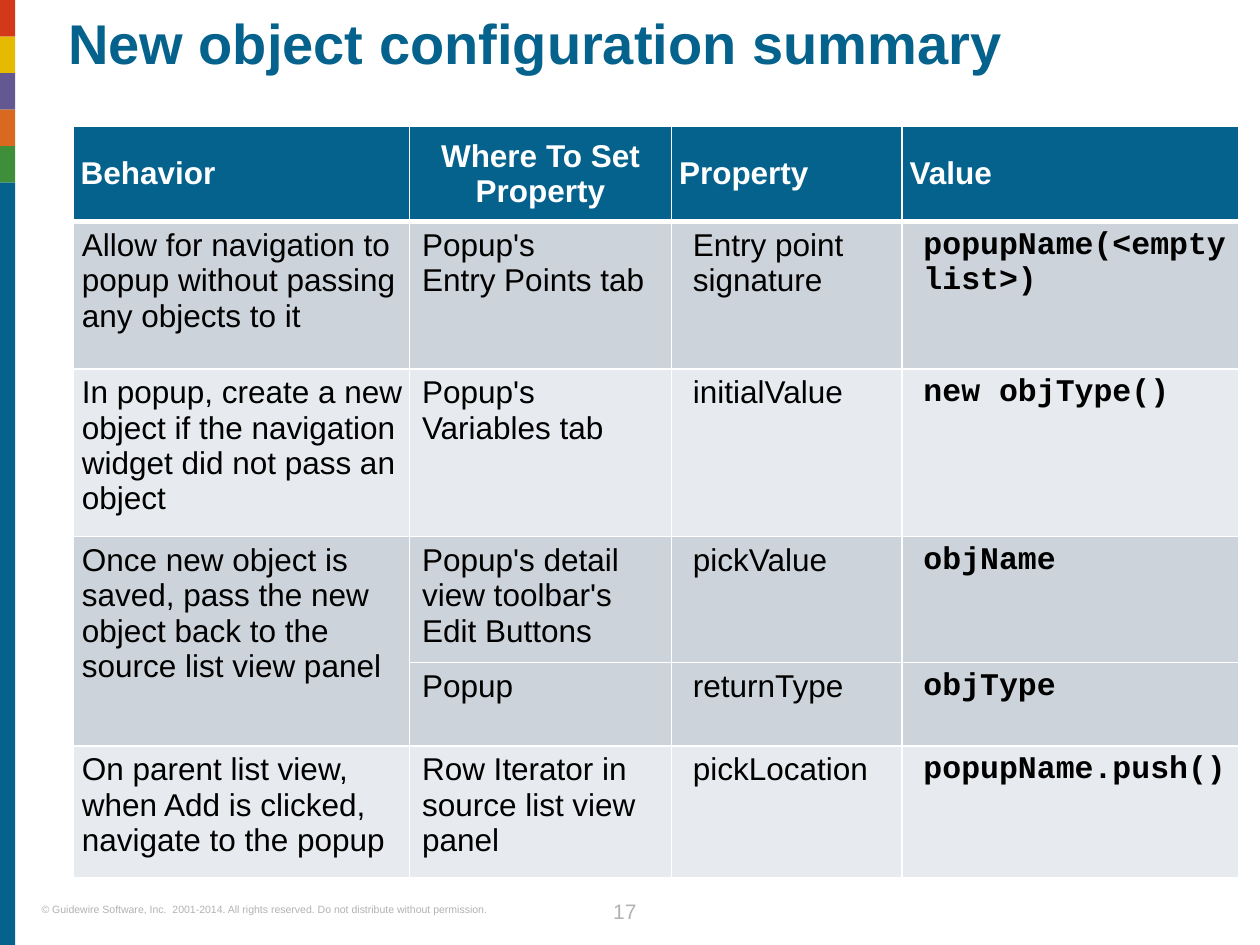
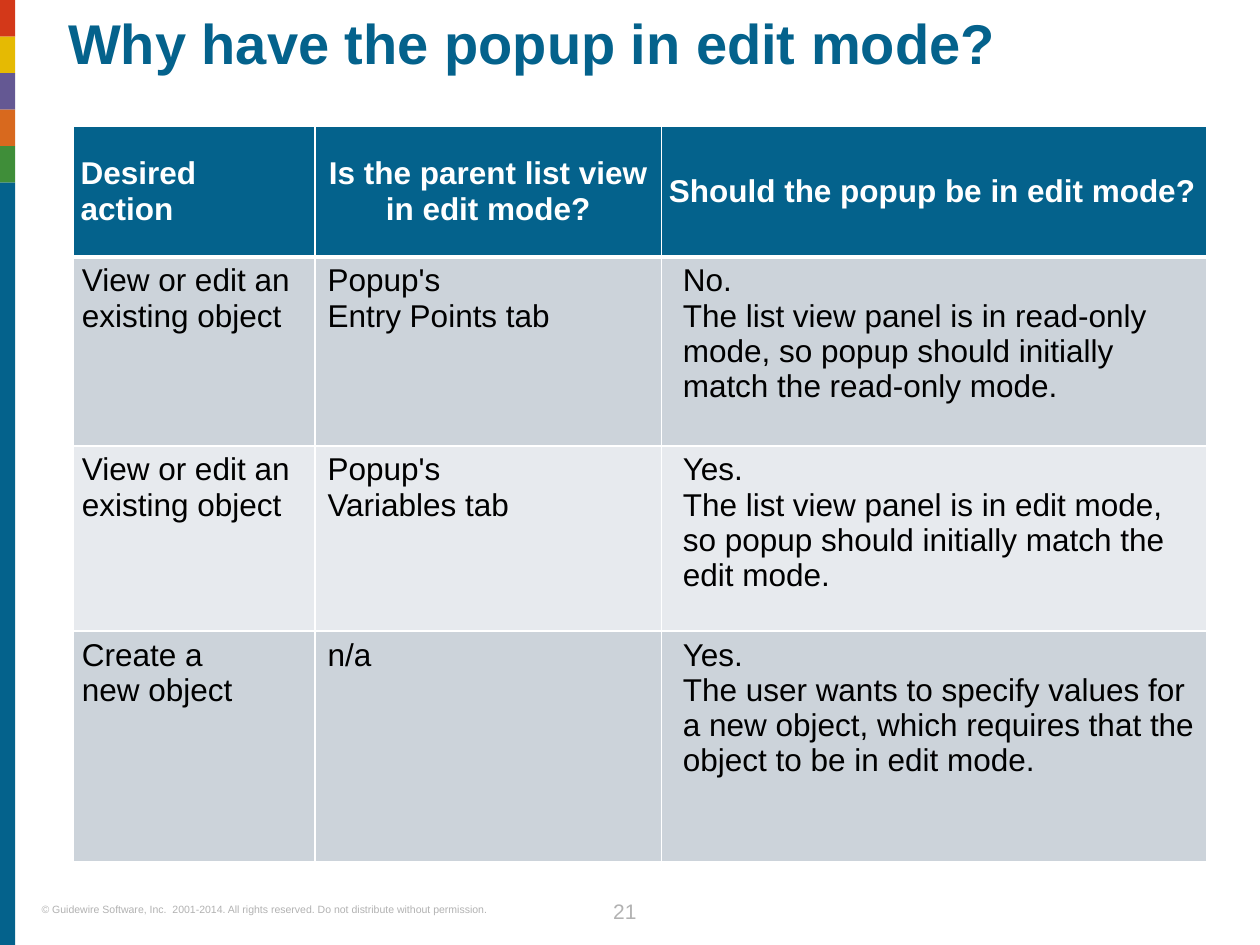
from dataclasses import dataclass

from lxml import etree
from pptx import Presentation
from pptx import util as u
from pptx.dml.color import RGBColor
from pptx.enum import shapes, text
from pptx.oxml import ns


@dataclass(frozen=True)
class Theme:
    """Colours, type and shared wording."""
    blue: str = "04628C"
    white: str = "FFFFFF"
    black: str = "000000"
    gray: str = "B2B2B2"
    stripes: tuple = ("D33819", "E5BA03", "645893", "D8691E", "3F8E39")
    bands: tuple = ("CCD3DA", "E7EAEE")
    font: str = "Arial"
    code_font: str = "Courier New"
    title_size: int = 32
    table_size: int = 18
    number_size: int = 12
    copyright_size: int = 6
    copyright: str = ("© Guidewire Software, Inc.  2001-2014. All rights reserved. "
                      "Do not distribute without permission.")


def set_all(target, values):
    for name, value in values.items():
        setattr(target, name, value)


def set_margins(target, margins):
    sides = ("margin_left", "margin_top", "margin_right", "margin_bottom")
    set_all(target, {side: u.Inches(margin) for side, margin in zip(sides, margins)})


class Deck:
    def __init__(self, theme):
        self.theme = theme
        self.presentation = Presentation()
        self.presentation.slide_width = u.Inches(10)
        self.presentation.slide_height = u.Inches(7.5)
        self.slide = None

    # Text
    def style_text(self, frame, words, size, color, bold=False, font=None,
                   frame_format=None, paragraph_format=None):
        set_all(frame, {"word_wrap": True, **(frame_format or {})})
        paragraph = frame.paragraphs[0]
        paragraph.text = words
        set_all(paragraph, {"alignment": text.PP_ALIGN.LEFT, **(paragraph_format or {})})
        for run in paragraph.runs:
            set_all(run.font, {"name": font or self.theme.font, "size": u.Pt(size), "bold": bold})
            run.font.color.rgb = RGBColor.from_string(color)

    def text_box(self, left, top, width, height, words, size, margins=(0, 0, 0, 0), **options):
        box = self.slide.shapes.add_textbox(*map(u.Inches, (left, top, width, height)))
        set_margins(box.text_frame, margins)
        self.style_text(box.text_frame, words, size, self.theme.gray, **options)

    def title(self, words):
        title = self.slide.shapes.title
        set_all(title, {"left": u.Inches(0.54), "top": u.Inches(0.13),
                        "width": u.Inches(9.1), "height": u.Inches(0.81)})
        set_margins(title.text_frame, (0, 0, 0, 0))
        self.style_text(title.text_frame, words, self.theme.title_size, self.theme.blue, bold=True,
                        frame_format={"vertical_anchor": text.MSO_ANCHOR.TOP,
                                      "auto_size": text.MSO_AUTO_SIZE.NONE},
                        paragraph_format={"line_spacing": 0.9})

    # Side band and footer
    def rectangle(self, left, top, width, height, color):
        shape = self.slide.shapes.add_shape(shapes.MSO_SHAPE.RECTANGLE,
                                            *map(u.Inches, (left, top, width, height)))
        shape.shadow.inherit = False
        shape.fill.solid()
        shape.fill.fore_color.rgb = RGBColor.from_string(color)
        shape.line.fill.background()

    def side_band(self):
        width, step = 0.12, 0.29
        for index, color in enumerate(self.theme.stripes):
            self.rectangle(0, index * step, width, step, color)
        top = len(self.theme.stripes) * step
        self.rectangle(0, top, width, 7.5 - top, self.theme.blue)

    def footer(self, number):
        self.text_box(0.33, 7.17, 4.02, 0.1, self.theme.copyright, self.theme.copyright_size,
                      frame_format={"auto_size": text.MSO_AUTO_SIZE.SHAPE_TO_FIT_TEXT})
        self.text_box(4.71, 7.08, 0.57, 0.25, str(number), self.theme.number_size,
                      margins=(0, 0, 0.07, 0),
                      paragraph_format={"alignment": text.PP_ALIGN.CENTER,
                                        "line_spacing": u.Pt(18)})

    def new_slide(self, words, number):
        self.slide = self.presentation.slides.add_slide(self.presentation.slide_layouts[5])
        self.side_band()
        self.footer(number)
        self.title(words)

    # Table
    def borders(self, cell, top, bottom):
        properties = cell._tc.get_or_add_tcPr()
        for side, points in (("L", 1), ("R", 1), ("T", top), ("B", bottom)):
            line = etree.SubElement(properties, ns.qn(f"a:ln{side}"), w=str(u.Pt(points)))
            fill = etree.SubElement(line, ns.qn("a:solidFill"))
            etree.SubElement(fill, ns.qn("a:srgbClr"), val=self.theme.white)

    def style_cell(self, cell, row, fill):
        self.borders(cell, 3 if row == 1 else 1, 3 if row == 0 else 1)
        cell.fill.solid()
        cell.fill.fore_color.rgb = RGBColor.from_string(fill)

    def fill_cell(self, cell, words, row, column, code):
        theme = self.theme
        if row == 0:
            centered = column == 1
            margins = (0 if centered else 0.06, 0, 0, 0)
            alignment = text.PP_ALIGN.CENTER if centered else text.PP_ALIGN.LEFT
            style = {"color": theme.white, "bold": True,
                     "paragraph_format": {"alignment": alignment}}
        else:
            margins = ((0.07, 0.05, 0, 0) if column == 0 else
                       (0.1 if column == 1 else 0.17, 0.05, 0.05, 0.05))
            style = {"color": theme.black, "bold": code,
                     "font": theme.code_font if code else theme.font}
        self.style_text(cell.text_frame, words, theme.table_size, **style)
        set_margins(cell, margins)
        cell.vertical_anchor = text.MSO_ANCHOR.MIDDLE if row == 0 else text.MSO_ANCHOR.TOP

    def table(self, widths, heights, rows, code_column=None):
        """Draw rows under a header; None joins a cell to the one above."""
        frame = self.slide.shapes.add_table(len(rows), len(widths), u.Inches(0.58), u.Inches(1),
                                            u.Inches(sum(widths)), u.Inches(sum(heights)))
        table = frame.table
        set_all(table, {"first_row": False, "horz_banding": False})
        for column, width in zip(table.columns, widths):
            column.width = u.Inches(width)
        for row, height in zip(table.rows, heights):
            row.height = u.Inches(height)
        group = 0
        for row, entries in enumerate(rows):
            if row and entries[0] is not None:
                group += 1
            fill = self.theme.bands[(group - 1) % 2] if row else self.theme.blue
            for column, words in enumerate(entries):
                cell = table.cell(row, column)
                self.style_cell(cell, row, fill)
                if words is None:
                    table.cell(row - 1, column).merge(cell)
                else:
                    self.fill_cell(cell, words, row, column, column == code_column)


CONFIGURATION = [
    ("Behavior", "Where To Set Property", "Property", "Value"),
    ("Allow for navigation to popup without passing any objects to it",
     "Popup's\nEntry Points tab", "Entry point signature", "popupName(<empty list>)"),
    ("In popup, create a new object if the navigation widget did not pass an object",
     "Popup's\nVariables tab", "initialValue", "new objType()"),
    ("Once new object is saved, pass the new object back to the source list view panel",
     "Popup's detail view toolbar's Edit Buttons", "pickValue", "objName"),
    (None, "Popup", "returnType", "objType"),
    ("On parent list view, when Add is clicked, navigate to the popup",
     "Row Iterator in source list view panel", "pickLocation", "popupName.push()"),
]

EDIT_MODE = [
    ("Desired\naction", "Is the parent list view\nin edit mode?",
     "Should the popup be in edit mode?"),
    ("View or edit an existing object", "Popup's\nEntry Points tab",
     "No.\nThe list view panel is in read-only mode, so popup should initially match "
     "the read-only mode."),
    ("View or edit an existing object", "Popup's\nVariables tab",
     "Yes.\nThe list view panel is in edit mode, so popup should initially match the edit mode."),
    ("Create a\nnew object", "n/a",
     "Yes.\nThe user wants to specify values for a new object, which requires that the object "
     "to be in edit mode."),
]


def main():
    deck = Deck(Theme())

    # Configuration summary
    deck.new_slide("New object configuration summary", 17)
    deck.table((2.67, 2.08, 1.83, 2.67), (0.76, 1.17, 1.33, 0.99, 0.66, 1.05),
               CONFIGURATION, code_column=3)

    # Edit mode
    deck.new_slide("Why have the popup in edit mode?", 21)
    deck.table((1.92, 2.75, 4.33), (1.04, 1.5, 1.47, 1.83), EDIT_MODE)

    deck.presentation.save("out.pptx")


if __name__ == "__main__":
    main()
